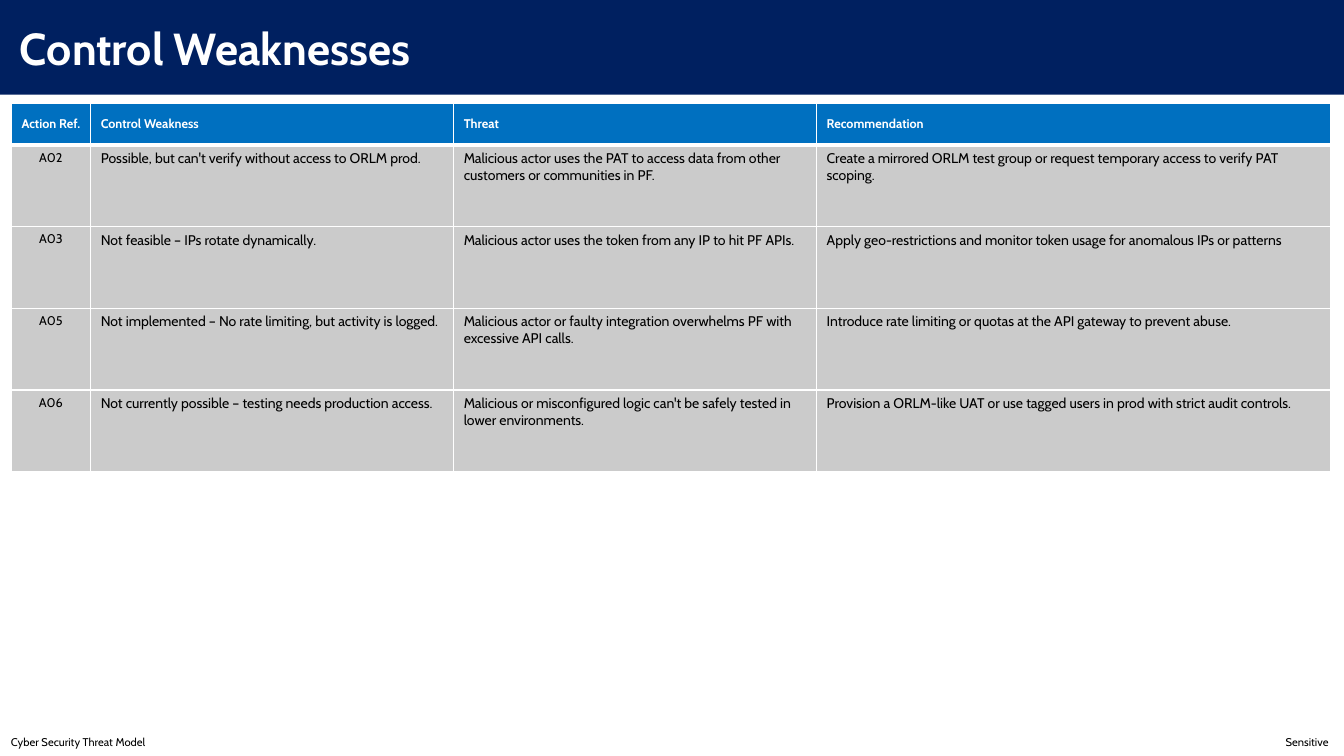
from lxml.etree import SubElement
from pptx import Presentation
from pptx.dml.color import RGBColor
from pptx.enum.shapes import MSO_SHAPE
from pptx.enum.text import MSO_ANCHOR, PP_ALIGN
from pptx.oxml.ns import qn
from pptx.util import Inches, Pt

NAVY = RGBColor(0x00, 0x20, 0x60)
BLUE = RGBColor(0x00, 0x70, 0xC0)
GREY = RGBColor(0xCB, 0xCB, 0xCB)
WHITE = RGBColor(0xFF, 0xFF, 0xFF)
BLACK = RGBColor(0x00, 0x00, 0x00)
FONT = "Cabin"

WIDTH, HEIGHT = Inches(13.33), Inches(7.5)
BANNER_HEIGHT = Inches(0.94)
FOOTER_HEIGHT = Inches(0.27)
TABLE_LEFT, TABLE_TOP = Inches(0.11), Inches(1.03)
COLUMNS = [Inches(w) for w in (0.79, 3.6, 3.6, 5.1)]
HEADER_ROW, BODY_ROW = Inches(0.41), Inches(0.81)

ROWS = [
    ("Action Ref.", "Control Weakness", "Threat", "Recommendation"),
    ("A02", "Possible, but can't verify without access to ORLM prod.",
     "Malicious actor uses the PAT to access data from other customers or communities in PF.",
     "Create a mirrored ORLM test group or request temporary access to verify PAT scoping."),
    ("A03", "Not feasible – IPs rotate dynamically.",
     "Malicious actor uses the token from any IP to hit PF APIs.",
     "Apply geo-restrictions and monitor token usage for anomalous IPs or patterns"),
    ("A05", "Not implemented – No rate limiting, but activity is logged.",
     "Malicious actor or faulty integration overwhelms PF with excessive API calls.",
     "Introduce rate limiting or quotas at the API gateway to prevent abuse."),
    ("A06", "Not currently possible – testing needs production access.",
     "Malicious or misconfigured logic can't be safely tested in lower environments.",
     "Provision a ORLM-like UAT or use tagged users in prod with strict audit controls."),
]


def write(tf, text, size, color, bold=False, align=PP_ALIGN.LEFT):
    p = tf.paragraphs[0]
    p.alignment = align
    r = p.add_run()
    r.text = text
    r.font.name = FONT
    r.font.size = Pt(size)
    r.font.bold = bold
    r.font.color.rgb = color
    return p


def indent(p, left):
    pPr = p._p.get_or_add_pPr()
    pPr.set("marL", str(left))
    return pPr


def add_banner(slide, title):
    sp = slide.shapes.add_shape(MSO_SHAPE.RECTANGLE, 0, 0, WIDTH, BANNER_HEIGHT)
    sp.shadow.inherit = False
    sp.fill.solid()
    sp.fill.fore_color.rgb = NAVY
    sp.line.fill.background()
    tf = sp.text_frame
    tf.vertical_anchor = MSO_ANCHOR.MIDDLE
    indent(write(tf, title, 32, WHITE, bold=True), Inches(0.1))


def add_footer(slide, left_text, right_text):
    tb = slide.shapes.add_textbox(0, HEIGHT - FOOTER_HEIGHT, WIDTH, FOOTER_HEIGHT)
    tf = tb.text_frame
    tf.word_wrap = True
    tf.vertical_anchor = MSO_ANCHOR.MIDDLE
    pPr = indent(write(tf, f"{left_text}\t{right_text}", 8, BLACK), Inches(0.01))
    tabs = SubElement(pPr, qn("a:tabLst"))
    SubElement(tabs, qn("a:tab"), pos=str(Inches(13.07)), algn="r")


def set_borders(cell, top, bottom):
    tcPr = cell._tc.get_or_add_tcPr()
    for side, width in (("L", 1), ("R", 1), ("T", top), ("B", bottom)):
        ln = SubElement(tcPr, qn(f"a:ln{side}"), w=str(Pt(width)))
        fill = SubElement(ln, qn("a:solidFill"))
        SubElement(fill, qn("a:srgbClr"), val=str(WHITE))


def fill_cell(cell, text, row, col):
    header = row == 0
    set_borders(cell, top=3 if row == 1 else 1, bottom=3 if header else 1)
    cell.fill.solid()
    cell.fill.fore_color.rgb = BLUE if header else GREY
    cell.vertical_anchor = MSO_ANCHOR.MIDDLE if header else MSO_ANCHOR.TOP
    write(cell.text_frame, text,
          size=9 if header or col == 0 else 10,
          color=WHITE if header else BLACK,
          bold=header,
          align=PP_ALIGN.CENTER if col == 0 else PP_ALIGN.LEFT)


def add_weakness_table(slide, rows):
    heights = [HEADER_ROW] + [BODY_ROW] * (len(rows) - 1)
    table = slide.shapes.add_table(len(rows), len(COLUMNS), TABLE_LEFT, TABLE_TOP,
                                   sum(COLUMNS), sum(heights)).table
    table.horz_banding = False
    for column, width in zip(table.columns, COLUMNS):
        column.width = width
    for i, (texts, height) in enumerate(zip(rows, heights)):
        table.rows[i].height = height
        for j, text in enumerate(texts):
            fill_cell(table.cell(i, j), text, i, j)


def main():
    prs = Presentation()
    prs.slide_width, prs.slide_height = WIDTH, HEIGHT
    slide = prs.slides.add_slide(prs.slide_layouts[6])
    add_banner(slide, "Control Weaknesses")
    add_footer(slide, "Cyber Security Threat Model", "Sensitive")
    add_weakness_table(slide, ROWS)
    prs.save("out.pptx")


if __name__ == "__main__":
    main()
